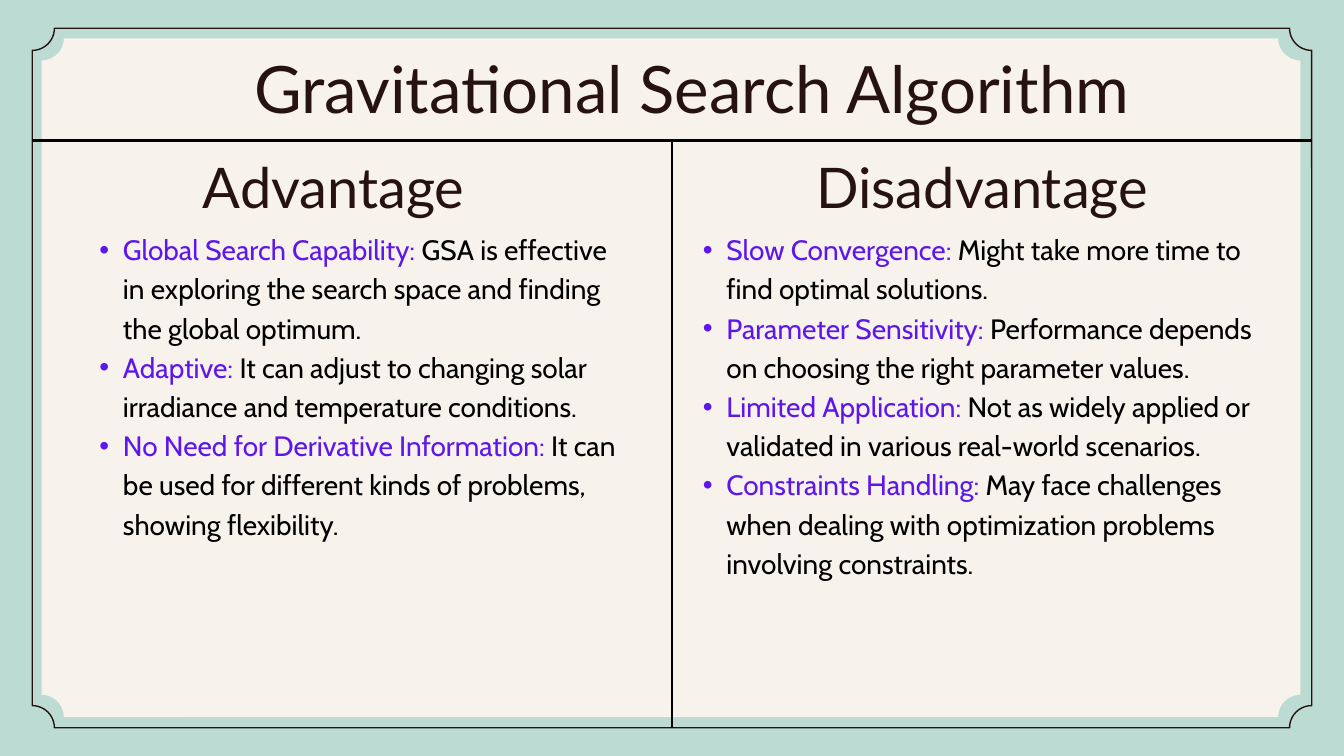
from lxml.etree import SubElement
from pptx import Presentation
from pptx.dml.color import RGBColor
from pptx.enum.shapes import MSO_CONNECTOR, MSO_SHAPE
from pptx.enum.text import MSO_ANCHOR, MSO_AUTO_SIZE, PP_ALIGN
from pptx.oxml.ns import qn
from pptx.util import Inches, Pt

INK, BLACK, PURPLE = "261310", "000000", "5E17EB"
MINT, CREAM = "BCDBD3", "F8F2EC"


def color(hex_value):
    return RGBColor.from_string(hex_value)


def place(holder, box, line_height, paragraphs, font_values, align):
    for side, length in zip(("left", "top", "width", "height"), box):
        setattr(holder, side, Inches(length))
    frame = holder.text_frame
    frame_values = {
        "margin_left": 0, "margin_top": 0, "margin_right": 0, "margin_bottom": 0,
        "word_wrap": True, "auto_size": MSO_AUTO_SIZE.NONE,
        "vertical_anchor": MSO_ANCHOR.TOP,
    }
    for name, value in frame_values.items():
        setattr(frame, name, value)
    for number, runs in enumerate(paragraphs):
        paragraph = frame.paragraphs[0] if number == 0 else frame.add_paragraph()
        paragraph_values = {
            "alignment": align, "line_spacing": Pt(line_height),
            "space_before": Pt(0), "space_after": Pt(0),
        }
        for name, value in paragraph_values.items():
            setattr(paragraph, name, value)
        if align == PP_ALIGN.LEFT:
            properties = paragraph._p.get_or_add_pPr()
            properties.set("marL", str(Inches(0.71)))
            properties.set("indent", str(Inches(-0.35)))
            SubElement(properties, qn("a:buFont"), typeface="Arial")
            SubElement(properties, qn("a:buChar"), char="•")
        for text, hex_value in runs:
            run = paragraph.add_run()
            run.text = text
            for name, value in font_values.items():
                setattr(run.font, name, value)
            run.font.color.rgb = color(hex_value)
    holder.element.getparent().append(holder.element)


presentation = Presentation()
presentation.slide_width = Inches(20)
presentation.slide_height = Inches(11.25)
slide = presentation.slides.add_slide(presentation.slide_layouts.get_by_name("Comparison"))
slide.background.fill.solid()
slide.background.fill.fore_color.rgb = color(MINT)

outline = slide.shapes.add_shape(
    MSO_SHAPE.PLAQUE, Inches(0.48), Inches(0.42), Inches(19.04), Inches(10.41))
outline.fill.background()
outline.line.color.rgb = color(INK)
outline.line.width = Pt(1.5)

panel = slide.shapes.add_shape(
    MSO_SHAPE.PLAQUE, Inches(0.62), Inches(0.57), Inches(18.73), Inches(10.1))
panel.fill.solid()
panel.fill.fore_color.rgb = color(CREAM)
panel.line.fill.background()

for plaque in (outline, panel):
    plaque.shadow.inherit = False
    plaque.adjustments[0] = Inches(0.33) / plaque.height

for ends in ((10, 10.83, 10, 2.09), (0.48, 2.09, 19.52, 2.09)):
    divider = slide.shapes.add_connector(
        MSO_CONNECTOR.STRAIGHT, *[Inches(end) for end in ends])
    divider.line.color.rgb = color(BLACK)
    divider.line.width = Pt(3)
    SubElement(divider.element.spPr, qn("a:effectLst"))

holders = {holder.placeholder_format.idx: holder for holder in slide.placeholders}

place(holders[0], (1.31, 0.73, 17.97, 1.17), 83.3,
      [[("Gravitational Search Algorithm", INK)]],
      {"name": "Lato", "size": Pt(70), "bold": False}, PP_ALIGN.CENTER)

columns = [
    ("Advantage", 1, 1.12, (1.12, 3.38, 8.18, 6.4), [
        ("Global Search Capability:",
         "GSA is effective in exploring the search space and finding the global optimum."),
        ("Adaptive:",
         "It can adjust to changing solar irradiance and temperature conditions."),
        ("No Need for Derivative Information:",
         "It can be used for different kinds of problems, showing flexibility."),
    ]),
    ("Disadvantage", 3, 10.77, (10.1, 3.38, 9.03, 7.56), [
        ("Slow Convergence:",
         "Might take more time to find optimal solutions."),
        ("Parameter Sensitivity:",
         "Performance depends on choosing the right parameter values."),
        ("Limited Application:",
         "Not as widely applied or validated in various real-world scenarios."),
        ("Constraints Handling:",
         "May face challenges when dealing with optimization problems involving constraints."),
    ]),
]

for heading, index, heading_left, list_box, points in columns:
    place(holders[index], (heading_left, 2.28, 7.69, 1), 71.4, [[(heading, INK)]],
          {"name": "Lato", "size": Pt(60), "bold": False}, PP_ALIGN.CENTER)
    place(holders[index + 1], list_box, 42,
          [[(term, PURPLE), (" " + detail, BLACK)] for term, detail in points],
          {"name": "Cabin", "size": Pt(30), "bold": False}, PP_ALIGN.LEFT)

presentation.save("out.pptx")
